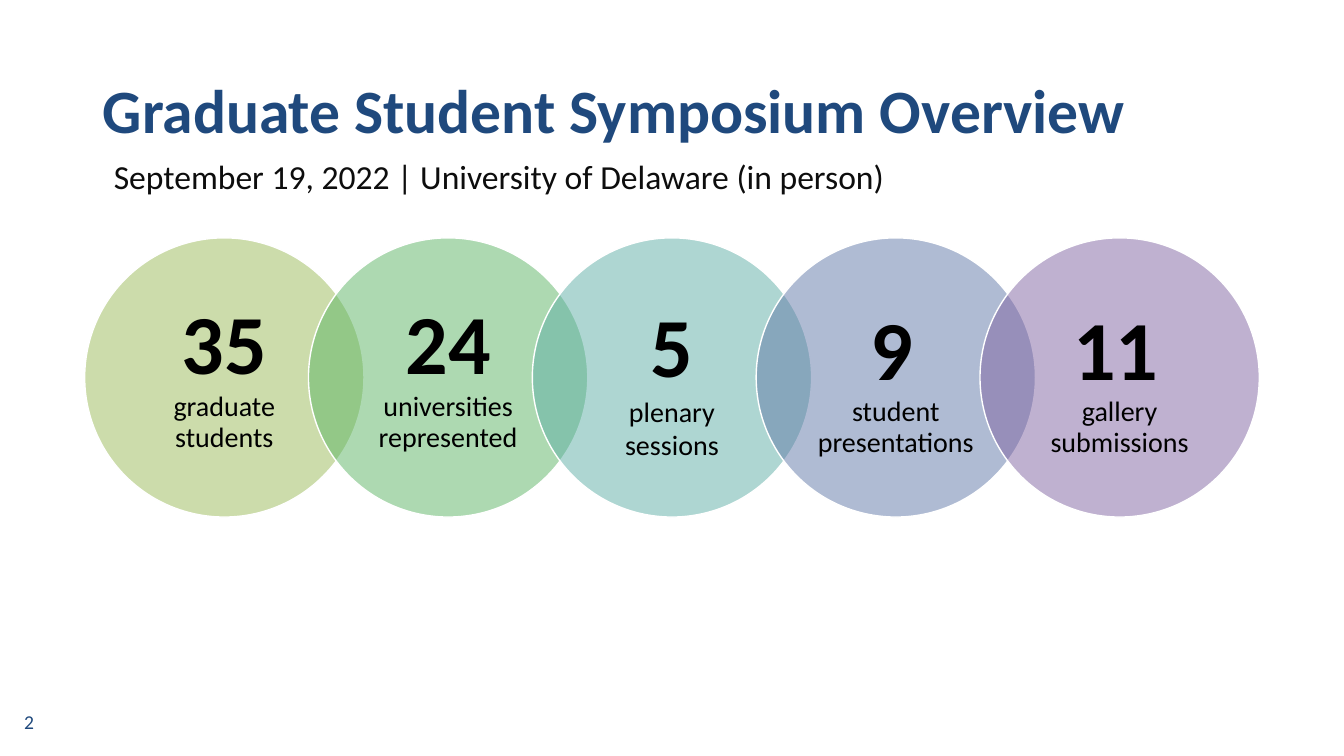
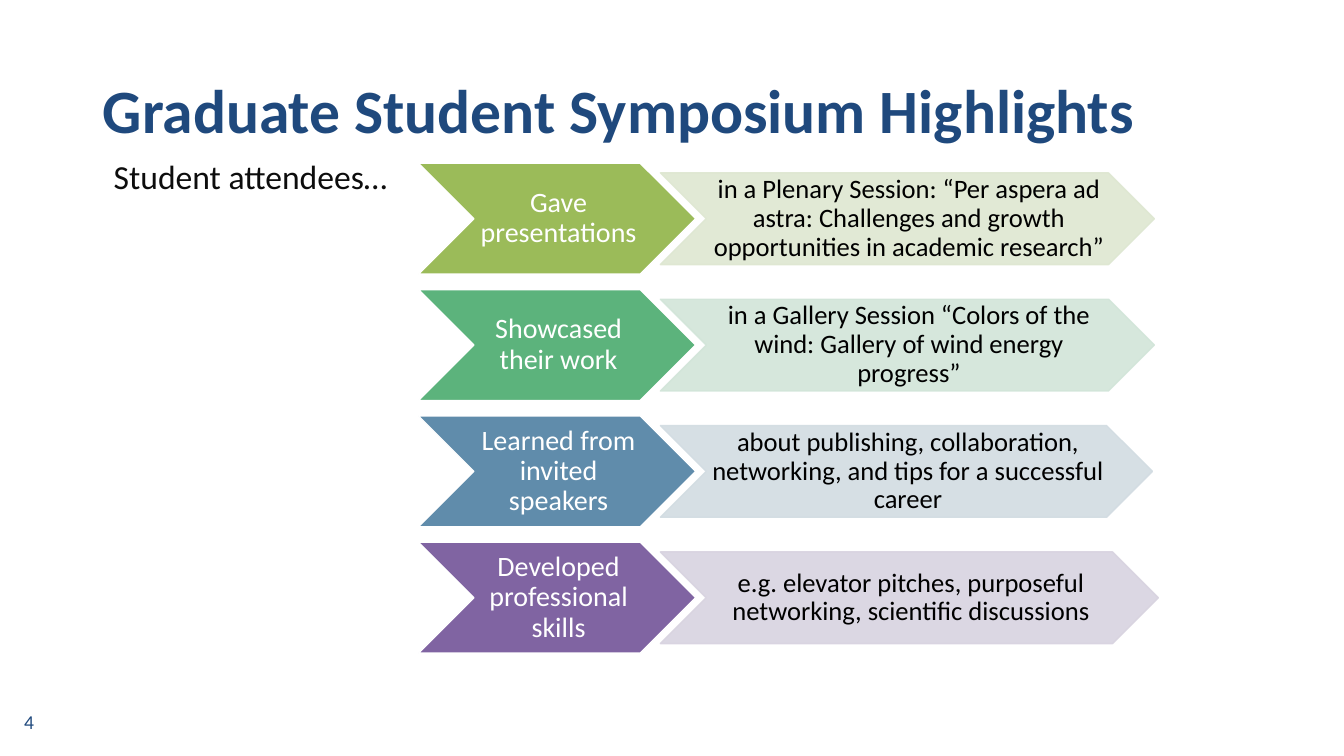
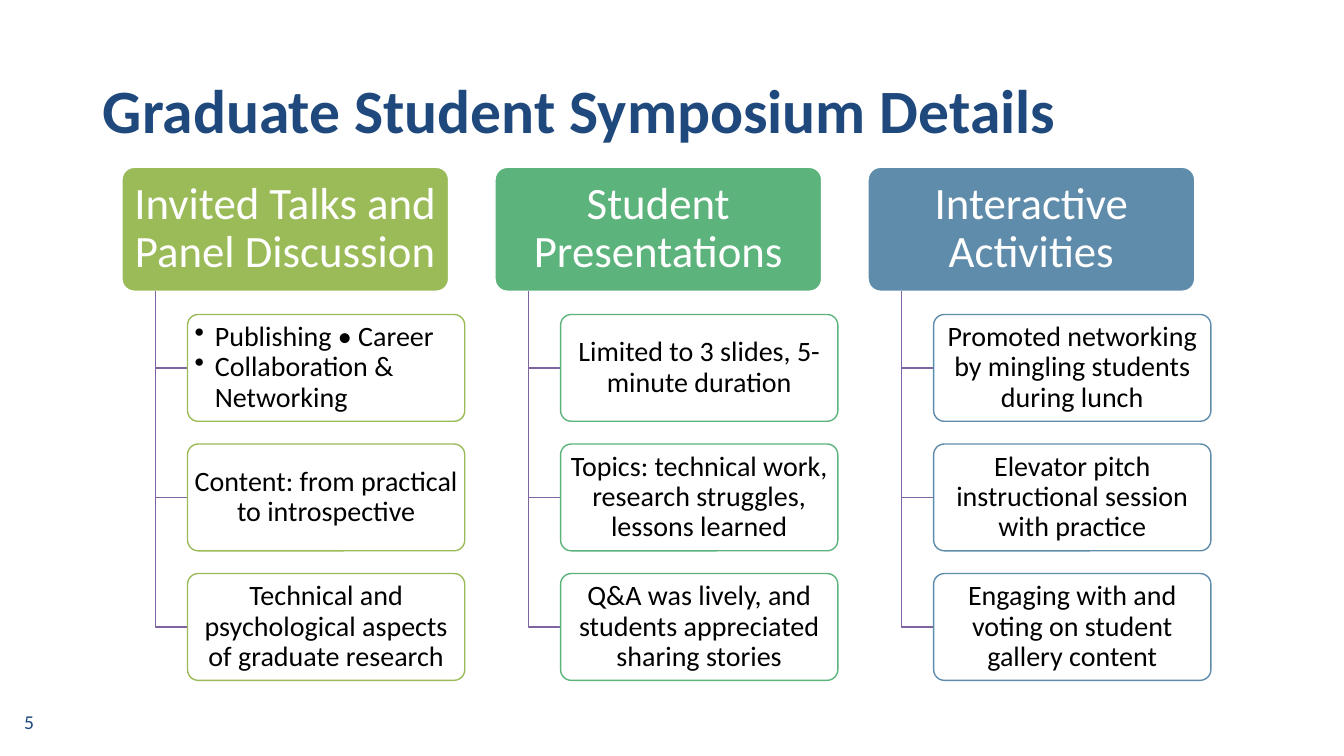
import pptx
import pptx.dml.color
import pptx.enum.shapes
import pptx.enum.text
import pptx.oxml
import pptx.oxml.ns
import pptx.util
import lxml.etree

Inches = pptx.util.Inches
Pt = pptx.util.Pt
SHAPES = pptx.enum.shapes.MSO_SHAPE
ALIGN = pptx.enum.text.PP_ALIGN
ANCHOR = pptx.enum.text.MSO_ANCHOR
AUTO_SIZE = pptx.enum.text.MSO_AUTO_SIZE

FONT = "Calibri"
NAVY, INK, BLACK, WHITE = "1F497D", "0D0D0D", "000000", "FFFFFF"
OLIVE, GREEN, BLUE, PURPLE = "9BBB59", "5CB37C", "608CAB", "8064A2"

TITLE_BOX = (0.92, 0.4, 11.5, 1.45)
NUMBER_BOX = (0.14, 6.99, 3, 0.4)
CIRCLES_BOX = (0.84, 2.36, 11.65, 2.77)
ARROWS_BOX = (4.15, 1.62, 7.3, 4.86)
COLUMNS_BOX = (1.21, 1.66, 10.8, 5.09)


def color(hex_string):
    return pptx.dml.color.RGBColor.from_string(hex_string)


def set_format(target, values):
    for name, value in values.items():
        setattr(target, name, value)


def spread(start, length, size, count):
    """Starts of equally spaced items that fill a length."""
    step = (length - size) / (count - 1)
    return [start + index * step for index in range(count)]


def set_fill(fill, hex_string, opacity=100):
    fill.solid()
    fill.fore_color.rgb = color(hex_string)
    if opacity < 100:
        tag = pptx.oxml.ns.qn("a:srgbClr")
        for element in fill._xPr.iter(tag):
            alpha = lxml.etree.SubElement(element, pptx.oxml.ns.qn("a:alpha"))
            alpha.set("val", str(opacity * 1000))


def add_span(para, text, size, hex_string, bold=False):
    span = para.add_run()
    span.text = text
    set_format(span.font, {"name": FONT, "size": Pt(size), "bold": bold})
    span.font.color.rgb = color(hex_string)


def add_para(frame, spans, align=ALIGN.CENTER, spacing=0.9):
    """Fill the empty first paragraph, or append one; spans are add_span arguments."""
    first = frame.paragraphs[0]
    para = frame.add_paragraph() if first.runs else first
    set_format(para, {"alignment": align, "line_spacing": spacing})
    for span in spans:
        add_span(para, *span)
    return para


def set_indent(para, left, first_line):
    properties = para._p.get_or_add_pPr()
    properties.set("marL", str(Inches(left)))
    properties.set("indent", str(Inches(first_line)))
    return properties


def add_panel(page, kind, box, fill, line, insets, opacity=100, line_opacity=100):
    shape = page.shapes.add_shape(kind, *map(Inches, box))
    shape.shadow.inherit = False
    set_fill(shape.fill, fill, opacity)
    shape.line.width = Pt(1)
    set_fill(shape.line.fill, line, line_opacity)
    left, top, right, bottom = map(Inches, insets)
    set_format(shape.text_frame, {
        "margin_left": left, "margin_top": top,
        "margin_right": right, "margin_bottom": bottom,
        "word_wrap": True, "vertical_anchor": ANCHOR.MIDDLE})
    return shape


def add_label(page, box, text, size, hex_string, wrap=True):
    frame = page.shapes.add_textbox(*map(Inches, box)).text_frame
    frame.word_wrap = wrap
    if not wrap:
        frame.auto_size = AUTO_SIZE.SHAPE_TO_FIT_TEXT
    add_para(frame, [(text, size, hex_string)], ALIGN.LEFT, 1.0)


def add_page(deck, title, number):
    page = deck.slides.add_slide(deck.slide_layouts[5])
    holder = page.shapes.title
    left, top, width, height = map(Inches, TITLE_BOX)
    set_format(holder, {"left": left, "top": top, "width": width, "height": height})
    set_format(holder.text_frame, {
        "vertical_anchor": ANCHOR.MIDDLE, "word_wrap": True,
        "auto_size": AUTO_SIZE.NONE})
    add_para(holder.text_frame, [(title, 44, NAVY, True)], ALIGN.LEFT)
    add_label(page, NUMBER_BOX, str(number), 14, NAVY)
    return page


def add_circles(page, box, circles):
    """Row of overlapping circles, each with a figure and its caption."""
    left, top, width, size = box
    starts = spread(left, width, size, len(circles))
    for start, (fill, figure, caption, layout) in zip(starts, circles):
        circle = add_panel(page, SHAPES.OVAL, (start, top, size, size),
                           fill, WHITE, (0.15, 0.08, 0.15, 0.08), opacity=50)
        frame = circle.text_frame
        number, words = (figure, 60, BLACK, True), (caption, 20, BLACK)
        gap = (" ", 25, BLACK)
        if layout == "flowing":
            add_para(frame, [number, gap, words])
        elif layout == "split":
            add_para(frame, [number, gap], spacing=1.0)
            add_para(frame, [words])
        else:
            set_indent(add_para(frame, [number], spacing=1.0), 0, -0.4)
            add_para(frame, [words], spacing=1.0)


def add_arrow_rows(page, box, rows):
    """Rows of a strong chevron followed by a pale, longer one."""
    left, top, _, height = box
    strong_width, strong_height, pale_height = 2.75, 1.1, 0.91
    insets = (0.03, 0.01, 0, 0.01)
    tops = spread(top, height, strong_height, len(rows))
    for row_top, (strong, pale, pale_width, action, detail) in zip(tops, rows):
        chevron = add_panel(page, SHAPES.CHEVRON,
                            (left, row_top, strong_width, strong_height),
                            strong, WHITE, insets)
        add_para(chevron.text_frame, [(action, 20, WHITE)])
        pale_top = row_top + (strong_height - pale_height) / 2
        chevron = add_panel(page, SHAPES.CHEVRON,
                            (left + 2.4, pale_top, pale_width, pale_height),
                            pale, pale, insets, 90, 90)
        add_para(chevron.text_frame, [(detail, 19, BLACK)])


def add_elbow(page, left, top, right, bottom):
    """Line that runs down and then right."""
    builder = page.shapes.build_freeform(Inches(left), Inches(top))
    builder.add_line_segments([(Inches(left), Inches(bottom)),
                               (Inches(right), Inches(bottom))], close=False)
    elbow = builder.convert_to_shape()
    elbow.shadow.inherit = False
    elbow.fill.background()
    elbow.line.width = Pt(1)
    elbow.line.color.rgb = color(PURPLE)


def add_bullet(frame, text):
    para = add_para(frame, [(text, 20, BLACK)], ALIGN.LEFT)
    properties = set_indent(para, 0.2, -0.2)
    bullet = lxml.etree.SubElement(properties, pptx.oxml.ns.qn("a:buChar"))
    bullet.set("char", "•")


def add_topic_column(page, box, accent, heading, items):
    """Heading with boxes hanging from it; a list item becomes bullets."""
    left, top, width, height = box
    head_width, head_height, item_height = 3.24, 1.23, 1.06
    item_left, items_top = left + 0.65, top + 1.46
    head = add_panel(page, SHAPES.ROUNDED_RECTANGLE,
                     (left, top, head_width, head_height),
                     accent, WHITE, (0.07, 0.04, 0.07, 0.04))
    head.adjustments[0] = 0.1
    add_para(head.text_frame, [(heading, 32, WHITE)])
    tops = spread(items_top, top + height - items_top, item_height, len(items))
    for item_top, item in zip(tops, items):
        add_elbow(page, left + 0.33, top + head_height,
                  item_left, item_top + item_height / 2)
        panel = add_panel(page, SHAPES.ROUNDED_RECTANGLE,
                          (item_left, item_top, left + width - item_left, item_height),
                          WHITE, accent, (0.04, 0.03, 0.04, 0.03), opacity=90)
        panel.adjustments[0] = 0.1
        if isinstance(item, list):
            for text in item:
                add_bullet(panel.text_frame, text)
        else:
            add_para(panel.text_frame, [(item, 20, BLACK)])


def add_columns(page, box, columns):
    left, top, width, height = box
    column_width = 3.4
    starts = spread(left, width, column_width, len(columns))
    for start, column in zip(starts, columns):
        add_topic_column(page, (start, top, column_width, height), *column)


def main():
    deck = pptx.Presentation()
    set_format(deck, {"slide_width": Inches(13.33), "slide_height": Inches(7.5)})

    page = add_page(deck, "Graduate Student Symposium Overview", 2)
    add_circles(page, CIRCLES_BOX, [
        (OLIVE, "35", "graduate students", "flowing"),
        ("5CB565", "24", "universities represented", "flowing"),
        ("5EAFA6", "5", "plenary sessions", "shifted"),
        ("6179A8", "9", "student presentations", "split"),
        (PURPLE, "11", "gallery submissions", "split")])
    add_label(page, (1.03, 1.5, 7.91, 0.5),
              "September 19, 2022 | University of Delaware (in person)",
              24, INK, wrap=False)

    page = add_page(deck, "Graduate Student Symposium Highlights", 4)
    add_arrow_rows(page, ARROWS_BOX, [
        (OLIVE, "DEE7D1", 4.9, "Gave presentations",
         "in a Plenary Session: “Per aspera ad astra: Challenges and growth "
         "opportunities in academic research”"),
        (GREEN, "D2E5D9", 4.9, "Showcased their work",
         "in a Gallery Session “Colors of the wind: Gallery of wind energy progress”"),
        (BLUE, "D2DCE2", 4.88, "Learned from invited speakers",
         "about publishing, collaboration, networking, and tips for a successful career"),
        (PURPLE, "D8D3E0", 4.94, "Developed professional skills",
         "e.g. elevator pitches, purposeful networking, scientific discussions")])
    add_label(page, (1.03, 1.5, 2.97, 0.5), "Student attendees…", 24, INK, wrap=False)

    page = add_page(deck, "Graduate Student Symposium Details", 5)
    add_columns(page, COLUMNS_BOX, [
        (OLIVE, "Invited Talks and Panel Discussion", [
            ["Publishing • Career", "Collaboration & Networking"],
            "Content: from practical to introspective",
            "Technical and psychological aspects of graduate research"]),
        (GREEN, "Student Presentations", [
            "Limited to 3 slides, 5-minute duration",
            "Topics: technical work, research struggles, lessons learned",
            "Q&A was lively, and students appreciated sharing stories"]),
        (BLUE, "Interactive Activities", [
            "Promoted networking by mingling students during lunch",
            "Elevator pitch instructional session with practice",
            "Engaging with and voting on student gallery content"])])

    deck.save("out.pptx")


if __name__ == "__main__":
    main()
